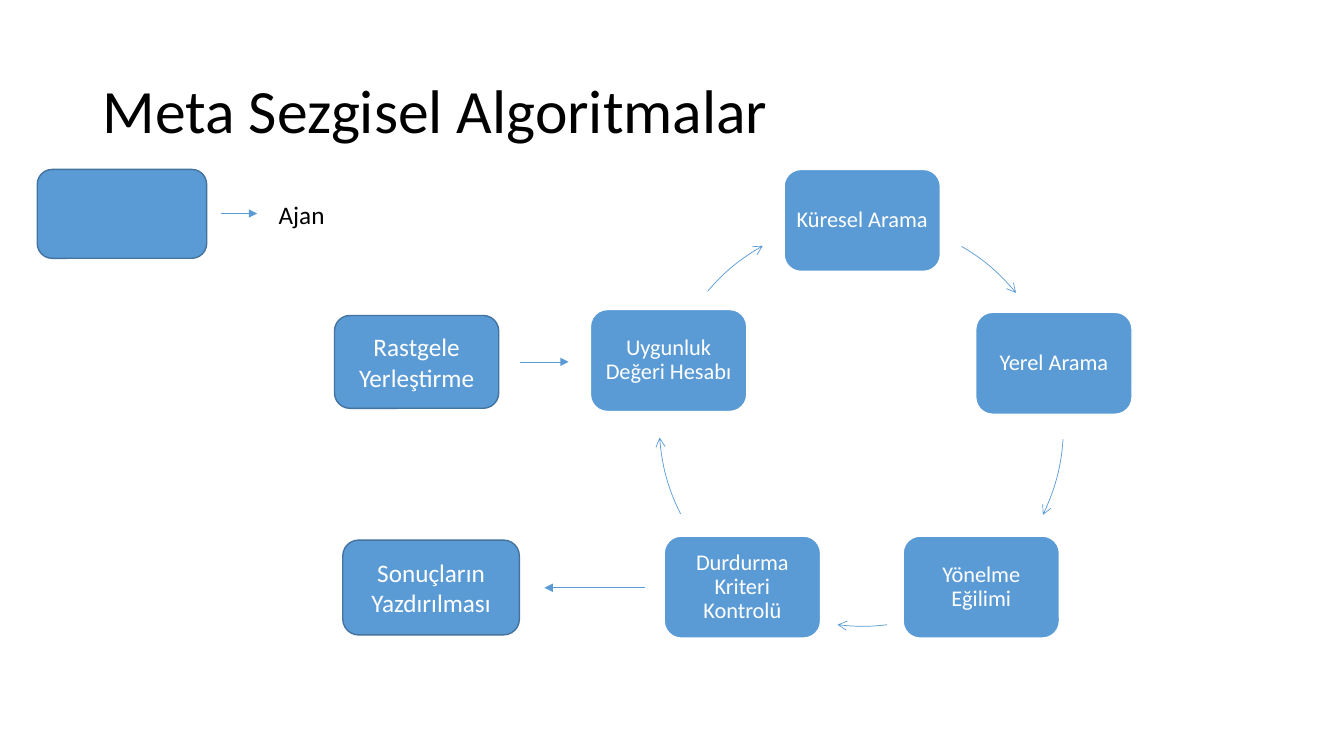
import math
from dataclasses import dataclass

import pptx
import pptx.dml.color
import pptx.enum.shapes
import pptx.enum.text
import pptx.oxml
import pptx.oxml.ns
import pptx.util
from pptx.util import Cm

FONT = "Calibri"
BLUE = "5B9BD5"
DARK_BLUE = "43739E"
WHITE = "FFFFFF"
BLACK = "000000"
CYCLE_RADIUS = 5.12


# All lengths below are centimetres, all angles degrees clockwise from the right.
@dataclass(frozen=True)
class Step:
    text: str
    left: float
    top: float
    width: float = 3.94
    height: float = 2.57
    outline: str = WHITE
    size: int = 16
    inset: float = 0.15
    spacing: float = 0.9


@dataclass(frozen=True)
class Arc:
    center_x: float
    center_y: float
    start: float
    end: float


@dataclass(frozen=True)
class Arrow:
    start_x: float
    end_x: float
    y: float


CYCLE_STEPS = [
    Step("Küresel Arama", 19.76, 4.27),
    Step("Yerel Arama", 24.59, 7.87),
    Step("Yönelme Eğilimi", 22.76, 13.51),
    Step("Durdurma Kriteri Kontrolü", 16.74, 13.51),
    Step("Uygunluk Değeri Hesabı", 14.88, 7.8),
]
CYCLE_ARCS = [
    Arc(21.65, 10.63, -59.7, -39.4),
    Arc(21.68, 10.73, 3.8, 26),
    Arc(21.73, 10.66, 83, 97),
    Arc(21.73, 10.66, 153.4, 175.9),
    Arc(21.73, 10.66, 220.4, 240.7),
]
OUTER_STEPS = [
    Step("Rastgele Yerleştirme", 8.43, 7.95, 4.14, 2.34, DARK_BLUE, 18, 0.25, 1),
    Step("Sonuçların Yazdırılması", 8.64, 13.61, 4.45, 2.39, DARK_BLUE, 18, 0.25, 1),
    Step("", 0.94, 4.27, 4.27, 2.24, DARK_BLUE),
]
ARROWS = [
    Arrow(13.11, 14.33, 9.12),
    Arrow(16.26, 13.72, 14.81),
    Arrow(5.56, 6.48, 5.38),
]


def rgb(value: str) -> pptx.dml.color.RGBColor:
    return pptx.dml.color.RGBColor.from_string(value)


def format_text(frame, text: str, size: int, color: str, align, spacing: float = 1) -> None:
    frame.text = text
    paragraph = frame.paragraphs[0]
    paragraph.alignment = align
    paragraph.line_spacing = spacing
    paragraph.font.name = FONT
    paragraph.font.size = pptx.util.Pt(size)
    paragraph.font.color.rgb = rgb(color)


def style_arrow(line_shape, head: str) -> None:
    line_shape.line.color.rgb = rgb(BLUE)
    line_shape.line.width = pptx.util.Pt(0.5)
    outline = line_shape.element.spPr.find(pptx.oxml.ns.qn("a:ln"))
    tail = pptx.oxml.parse_xml(f'<a:tailEnd {pptx.oxml.ns.nsdecls("a")} type="{head}"/>')
    outline.append(tail)


def draw_step(shapes, step: Step) -> None:
    box = shapes.add_shape(
        pptx.enum.shapes.MSO_SHAPE.ROUNDED_RECTANGLE,
        Cm(step.left), Cm(step.top), Cm(step.width), Cm(step.height),
    )
    box.shadow.inherit = False
    box.fill.solid()
    box.fill.fore_color.rgb = rgb(BLUE)
    box.line.color.rgb = rgb(step.outline)
    box.line.width = pptx.util.Pt(1)
    if step.text:
        frame = box.text_frame
        frame.word_wrap = True
        frame.vertical_anchor = pptx.enum.text.MSO_ANCHOR.MIDDLE
        frame.margin_left = frame.margin_right = Cm(step.inset)
        format_text(frame, step.text, step.size, WHITE,
                    pptx.enum.text.PP_ALIGN.CENTER, step.spacing)


def draw_arc(shapes, arc: Arc) -> None:
    start, end = math.radians(arc.start), math.radians(arc.end)
    handle = 4 / 3 * math.tan((end - start) / 4)

    def point(angle: float, tangent: float = 0) -> tuple[int, int]:
        x = math.cos(angle) - tangent * math.sin(angle)
        y = math.sin(angle) + tangent * math.cos(angle)
        return (Cm(arc.center_x + CYCLE_RADIUS * x), Cm(arc.center_y + CYCLE_RADIUS * y))

    builder = shapes.build_freeform(*point(start))
    builder.add_line_segments(
        [point(start, handle), point(end, -handle), point(end)], close=False
    )
    curve = builder.convert_to_shape()
    curve.shadow.inherit = False
    curve.fill.background()
    # Turn the three segments into one cubic curve
    segments = curve.element.xpath(".//a:lnTo")
    bezier = pptx.oxml.parse_xml(f'<a:cubicBezTo {pptx.oxml.ns.nsdecls("a")}/>')
    segments[0].addprevious(bezier)
    for segment in segments:
        bezier.append(segment[0])
        segment.getparent().remove(segment)
    style_arrow(curve, "arrow")


def draw_arrow(shapes, arrow: Arrow) -> None:
    connector = shapes.add_connector(
        pptx.enum.shapes.MSO_CONNECTOR.STRAIGHT,
        Cm(arrow.start_x), Cm(arrow.y), Cm(arrow.end_x), Cm(arrow.y),
    )
    style_arrow(connector, "triangle")
    connector.element.spPr.append(
        pptx.oxml.parse_xml(f'<a:effectLst {pptx.oxml.ns.nsdecls("a")}/>')
    )


def main() -> None:
    presentation = pptx.Presentation()
    presentation.slide_width = Cm(33.87)
    presentation.slide_height = Cm(19.05)
    slide = presentation.slides.add_slide(presentation.slide_layouts[5])
    shapes = slide.shapes

    # Title
    title = shapes.title
    title.left, title.top, title.width, title.height = Cm(2.33), Cm(1.01), Cm(29.21), Cm(3.68)
    title.text_frame.vertical_anchor = pptx.enum.text.MSO_ANCHOR.MIDDLE
    format_text(title.text_frame, "Meta Sezgisel Algoritmalar", 44, BLACK,
                pptx.enum.text.PP_ALIGN.LEFT, 0.9)

    # Search cycle
    for step, arc in zip(CYCLE_STEPS, CYCLE_ARCS):
        draw_step(shapes, step)
        draw_arc(shapes, arc)

    # Start, result and legend
    for step, arrow in zip(OUTER_STEPS, ARROWS):
        draw_step(shapes, step)
        draw_arrow(shapes, arrow)
    agent_label = shapes.add_textbox(Cm(6.76), Cm(4.9), Cm(1.68), Cm(1.02))
    agent_label.text_frame.word_wrap = False
    agent_label.text_frame.auto_size = pptx.enum.text.MSO_AUTO_SIZE.SHAPE_TO_FIT_TEXT
    format_text(agent_label.text_frame, "Ajan", 18, BLACK, pptx.enum.text.PP_ALIGN.CENTER)

    presentation.save("out.pptx")


if __name__ == "__main__":
    main()
